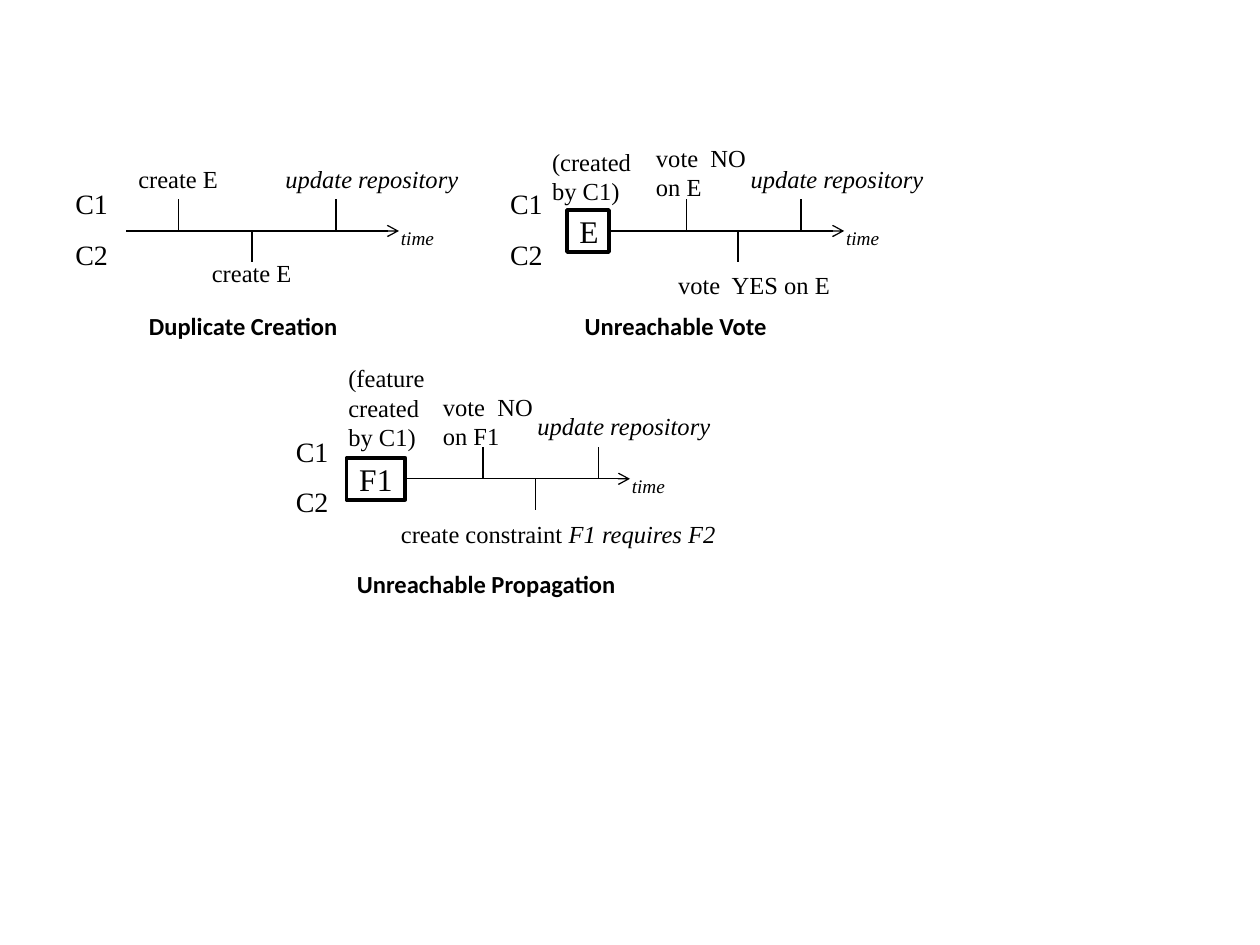
from dataclasses import dataclass
from typing import Any

from lxml import etree
from pptx import Presentation, util as u
from pptx.dml.color import RGBColor
from pptx.enum import shapes, text
from pptx.oxml.ns import qn


def colour(code):
    """Turn a hex string into a colour."""
    return RGBColor.from_string(code)


@dataclass
class Diagram:
    """Draw timelines on a grid of 120 columns by 90 rows."""
    slide: Any
    cell: int
    ink: str = "000000"
    paper: str = "FFFFFF"
    serif: str = "Times New Roman"
    sans: str = "Calibri"

    def grid(self, *cells):
        """Convert grid cells to slide lengths."""
        return [u.Emu(round(c * self.cell)) for c in cells]

    def style(self, font, size, face, bold=False, italic=False):
        """Apply the text style to a font."""
        font.size, font.name = u.Pt(size), face
        font.bold, font.italic = bold, italic
        font.color.rgb = colour(self.ink)

    def label(self, x, y, width, words, size=14, lines=1, face=None,
              bold=False, italic=False, wrap=True, ending=""):
        """Add a text label, with an optional italic ending."""
        height = 1.2 + lines * size * 0.2
        frame = self.slide.shapes.add_textbox(*self.grid(x, y, width, height)).text_frame
        frame.word_wrap = wrap
        frame.auto_size = text.MSO_AUTO_SIZE.SHAPE_TO_FIT_TEXT
        line = frame.paragraphs[0]
        line.add_run().text = words
        self.style(line.font, size, face or self.serif, bold, italic)
        if ending:
            tail = line.add_run()
            tail.text, tail.font.italic = ending, True

    def line(self, x1, y1, x2, y2, arrow=False):
        """Add a thin line, with an arrowhead if asked."""
        link = self.slide.shapes.add_connector(
            shapes.MSO_CONNECTOR.STRAIGHT, *self.grid(x1, y1, x2, y2))
        link.line.color.rgb = colour(self.ink)
        link.line.width = u.Pt(0.75)
        if arrow:
            etree.SubElement(link.line._get_or_add_ln(), qn("a:tailEnd"), type="arrow")
        etree.SubElement(link._element.spPr, qn("a:effectLst"))
        return link

    def box(self, x, y, width, height, words):
        """Add an outlined box with centred text."""
        element = self.slide.shapes.add_shape(
            shapes.MSO_SHAPE.RECTANGLE, *self.grid(x, y, width, height))
        element.shadow.inherit = False
        element.fill.solid()
        element.fill.fore_color.rgb = colour(self.paper)
        element.line.color.rgb = colour(self.ink)
        element.line.width = u.Pt(2)
        frame = element.text_frame
        frame.vertical_anchor = text.MSO_ANCHOR.MIDDLE
        frame.text = words
        frame.paragraphs[0].alignment = text.PP_ALIGN.CENTER
        self.style(frame.paragraphs[0].font, 18, self.serif)
        return element

    def timeline(self, left, axis, start, end, above, below, element=None):
        """Add a time axis with two clients, event ticks and an optional element."""
        self.label(left, axis - 4.8, 6, "C1", 16)
        self.label(left, axis, 6, "C2", 16)
        arrow = self.line(start, axis, end, axis, arrow=True)
        if element:
            words, width = element
            arrow.begin_connect(self.box(start - width, axis - 2, width, 4, words), 3)
        for x in above:
            self.line(x, axis - 3, x, axis)
        self.line(below, axis, below, axis + 3)
        self.label(end - 1, axis - 1, 5.8, "time", 11, italic=True, wrap=False)

    def caption(self, x, y, width, words):
        """Add the bold name of a timeline."""
        self.label(x, y, width, words, face=self.sans, bold=True, wrap=False)

    def update(self, x, y):
        """Add the repository update event."""
        self.label(x, y, 20, "update repository", italic=True)


def main():
    """Build the slide with its three timelines."""
    deck = Presentation()
    deck.slide_width, deck.slide_height = u.Inches(10), u.Inches(7.5)
    slide = deck.slides.add_slide(deck.slide_layouts[6])
    diagram = Diagram(slide, deck.slide_width // 120)

    diagram.timeline(6, 22, 12, 38, above=(17, 32), below=24)
    diagram.label(12, 15, 11, "create E")
    diagram.label(19, 24, 11, "create E")
    diagram.update(26, 15)
    diagram.caption(13, 29, 20.5, "Duplicate Creation")

    diagram.timeline(47.4, 22, 58, 80.4, above=(65.4, 76.3), below=70.3, element=("E", 4))
    diagram.label(51.4, 13.4, 12, "(created by C1)", lines=2)
    diagram.label(61.3, 13, 11, "vote  NO on E", lines=2)
    diagram.label(63.4, 25.1, 17, "vote  YES on E")
    diagram.update(70.3, 15)
    diagram.caption(54.5, 29, 19.8, "Unreachable Vote")

    diagram.timeline(27, 45.6, 38.6, 60, above=(46, 57), below=51, element=("F1", 5.6))
    diagram.label(32, 34, 12, "(feature created by C1)", lines=3)
    diagram.label(41, 36.7, 11, "vote  NO on F1", lines=2)
    diagram.label(37, 48.8, 35.4, "create constraint ", ending="F1 requires F2")
    diagram.update(50, 38.6)
    diagram.caption(32.8, 53.6, 27.2, "Unreachable Propagation")

    deck.save("out.pptx")


if __name__ == "__main__":
    main()
